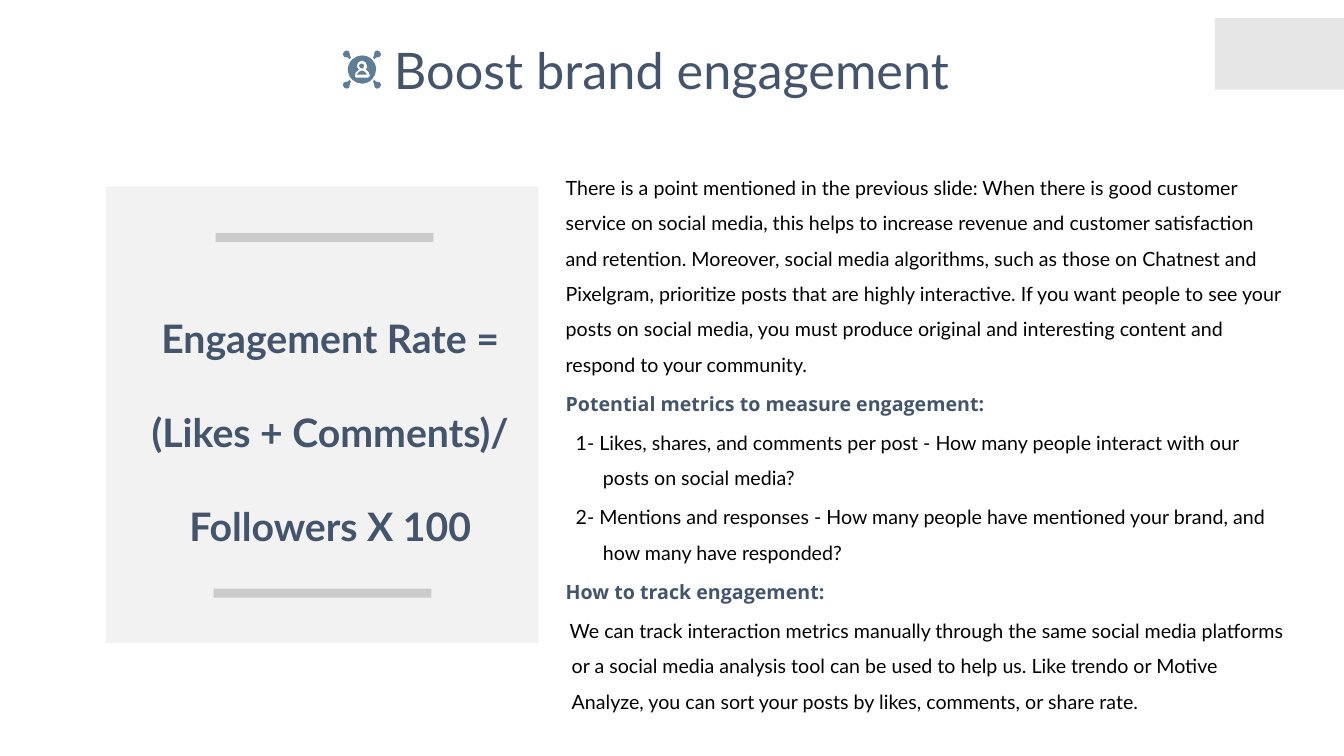
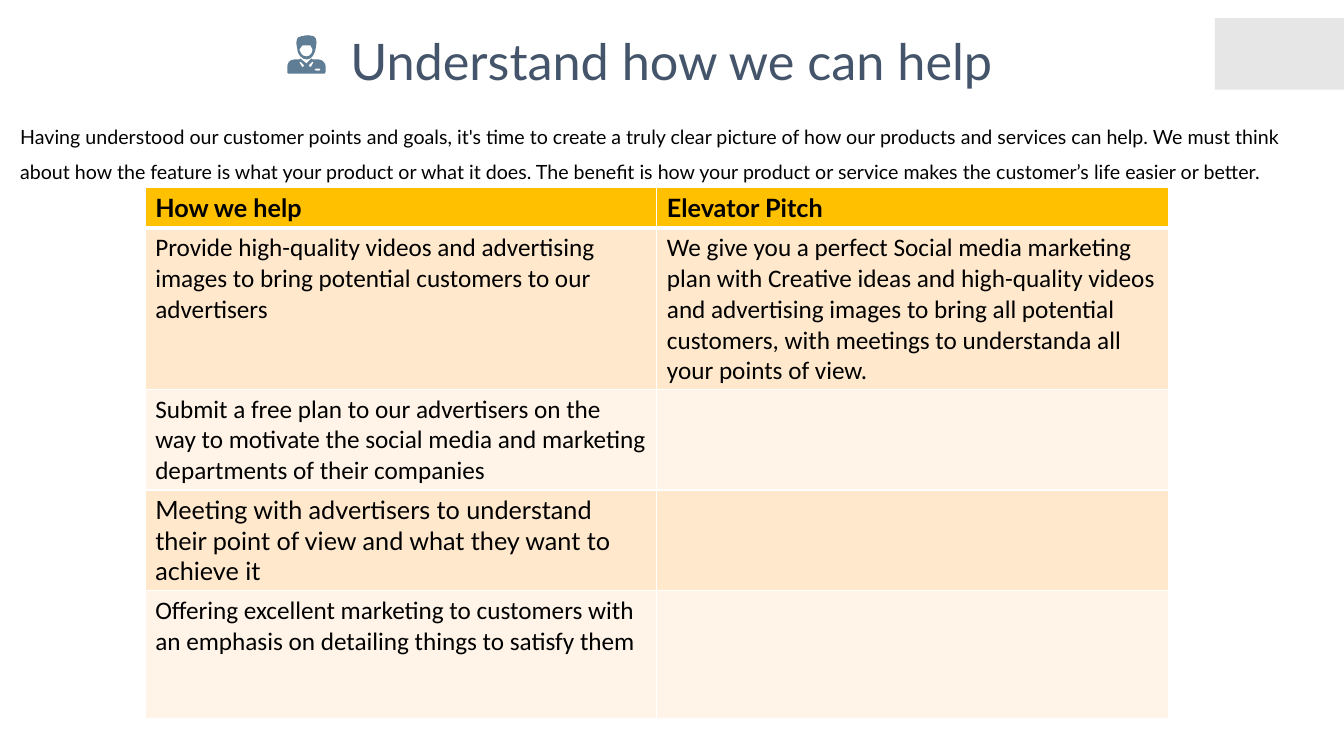
from lxml import etree
from pptx import Presentation
from pptx.dml.color import RGBColor
from pptx.enum.shapes import MSO_SHAPE
from pptx.enum.text import PP_ALIGN
from pptx.oxml.ns import qn
from pptx.util import Inches, Pt

RECT = MSO_SHAPE.RECTANGLE
CENTER = PP_ALIGN.CENTER

BLACK = RGBColor(0x00, 0x00, 0x00)
WHITE = RGBColor(0xFF, 0xFF, 0xFF)
NAVY = RGBColor(0x44, 0x54, 0x6A)
STEEL = RGBColor(0x5F, 0x7D, 0x95)
TAB_GRAY = RGBColor(0xE7, 0xE6, 0xE6)
CARD_GRAY = RGBColor(0xF2, 0xF2, 0xF2)
BAR_GRAY = RGBColor(0xA5, 0xA5, 0xA5)
AMBER = RGBColor(0xFF, 0xC0, 0x00)
PEACH = RGBColor(0xFF, 0xE8, 0xCC)
CREAM = RGBColor(0xFF, 0xF4, 0xE7)

LATO, OPEN_SANS, CALIBRI = "Lato", "Open Sans", "Calibri"
WIDE = (0.12, 0.06)
TIGHT = (0.05, 0.02)
NORMAL = (0.1, 0.05)

# Paragraph kinds: font, colour, bold, left margin, first-line indent
BODY = (LATO, BLACK, False, 0, 0)
HEADING = (OPEN_SANS, NAVY, True, 0, 0)
ITEM = (LATO, BLACK, False, 0.37, -0.27)
INSET = (LATO, BLACK, False, 0.06, -0.02)

# Slide content
ENGAGEMENT = [
    ("There is a point mentioned in the previous slide: When there is good customer service on "
     "social media, this helps to increase revenue and customer satisfaction and retention. "
     "Moreover, social media algorithms, such as those on Chatnest and Pixelgram, prioritize "
     "posts that are highly interactive. If you want people to see your posts on social media, "
     "you must produce original and interesting content and respond to your community.", BODY),
    ("Potential metrics to measure engagement:", HEADING),
    ("1- Likes, shares, and comments per post - How many people interact with our posts on "
     "social media?", ITEM),
    ("2- Mentions and responses - How many people have mentioned your brand, and how many have "
     "responded?", ITEM),
    ("How to track engagement:", HEADING),
    ("We can track interaction metrics manually through the same social media platforms or a "
     "social media analysis tool can be used to help us. Like trendo or Motive Analyze, you can "
     "sort your posts by likes, comments, or share rate.", INSET),
]
FORMULA = "Engagement Rate = (Likes + Comments)/ Followers X 100"
HELP_INTRO = [
    ("Having understood our customer points and goals, it's time to create a truly clear picture "
     "of how our products and services can help. We must think about how the feature is what your "
     "product or what it does. The benefit is how your product or service makes the customer’s "
     "life easier or better.", BODY),
]
# Table rows: height, font, cells
HELP_ROWS = [
    (0.39, LATO, ("How we help", "Elevator Pitch")),
    (1.55, CALIBRI, (
        "Provide high-quality videos and advertising images to bring potential customers to our "
        "advertisers",
        "We give you a perfect Social media marketing plan with Creative ideas and high-quality "
        "videos and advertising images to bring all potential customers, with meetings to "
        "understanda all your points of view.")),
    (0.97, CALIBRI, (
        "Submit a free plan to our advertisers on the way to motivate the social media and "
        "marketing departments of their companies", "")),
    (0.97, LATO, (
        "Meeting with advertisers to understand their point of view and what they want to "
        "achieve it", "")),
    (1.27, CALIBRI, (
        "Offering excellent marketing to customers with an emphasis on detailing things to "
        "satisfy them", "")),
]

# Icon outlines in inches: M move, L line, C curve
HUB_CENTER = (3.59, 0.69)
HUB_NODE = ("M3.44,.5 C3.42,.5,3.4,.52,3.4,.54 C3.4,.56,3.42,.57,3.44,.57 "
            "C3.44,.57,3.45,.57,3.45,.57 L3.47,.59 C3.47,.58,3.48,.57,3.48,.57 L3.47,.55 "
            "C3.47,.55,3.47,.54,3.47,.54 C3.47,.52,3.46,.5,3.44,.5")
HUB_PARTS = [
    "M3.59,.7 C3.57,.7,3.55,.72,3.54,.74 L3.64,.74 C3.63,.72,3.61,.7,3.59,.7",
    "M3.59,.63 C3.58,.63,3.56,.64,3.56,.65 C3.56,.67,3.58,.68,3.59,.68 "
    "C3.6,.68,3.61,.67,3.61,.65 C3.61,.64,3.6,.63,3.59,.63",
    "M3.59,.6 C3.62,.6,3.64,.63,3.64,.65 C3.64,.67,3.64,.68,3.63,.69 "
    "C3.65,.7,3.67,.73,3.67,.75 C3.66,.76,3.66,.77,3.65,.77 L3.53,.77 "
    "C3.52,.77,3.52,.76,3.52,.75 C3.52,.73,3.53,.7,3.56,.69 C3.55,.68,3.54,.67,3.54,.65 "
    "C3.54,.63,3.56,.6,3.59,.6 "
    "M3.59,.55 C3.52,.55,3.45,.61,3.45,.69 C3.45,.77,3.52,.83,3.59,.83 "
    "C3.67,.83,3.73,.76,3.73,.69 C3.73,.61,3.67,.55,3.59,.55",
]
PERSON_PARTS = [
    "M3.07,.45 C3.07,.45,3.07,.45,3.08,.45 L3.1,.49 C3.1,.52,3.08,.56,3.04,.56 "
    "C3,.56,2.98,.53,2.97,.49 L3,.45 C3,.45,3,.45,3.01,.45 "
    "M3.06,.35 C3.04,.35,3.02,.35,3,.36 C2.99,.36,2.99,.36,2.99,.36 "
    "C2.98,.36,2.97,.36,2.96,.37 C2.95,.38,2.94,.39,2.94,.42 C2.94,.43,2.94,.46,2.95,.49 "
    "C2.95,.49,2.95,.53,2.98,.56 C3,.58,3.02,.59,3.04,.59 C3.09,.59,3.12,.54,3.13,.49 "
    "C3.13,.47,3.14,.44,3.14,.42 C3.14,.39,3.13,.37,3.11,.36 C3.09,.35,3.08,.35,3.06,.35",
    "M2.98,.61 L3.02,.65 L3,.67 L2.97,.62 C2.97,.62,2.98,.62,2.98,.61 "
    "M3.1,.61 C3.1,.62,3.11,.62,3.11,.62 L3.08,.67 L3.06,.65 L3.1,.61 "
    "M3.17,.68 C3.17,.68,3.18,.68,3.18,.69 C3.18,.7,3.17,.7,3.17,.7 L3.14,.7 "
    "C3.13,.7,3.12,.7,3.12,.69 C3.12,.68,3.13,.68,3.14,.68 "
    "M2.98,.58 C2.98,.58,2.97,.58,2.97,.59 C2.97,.59,2.97,.59,2.96,.59 L2.92,.59 "
    "C2.87,.59,2.85,.63,2.85,.66 L2.85,.71 C2.85,.72,2.85,.73,2.86,.73 L3.22,.73 "
    "C3.22,.73,3.23,.72,3.23,.71 L3.23,.66 C3.23,.63,3.2,.59,3.16,.59 L3.12,.59 "
    "C3.11,.59,3.11,.59,3.1,.59 C3.1,.59,3.1,.58,3.09,.58 C3.09,.58,3.09,.59,3.08,.59 "
    "L3.04,.63 L2.99,.59 C2.99,.58,2.98,.58,2.98,.58",
]


def paint(shape, color):
    shape.shadow.inherit = False
    shape.fill.solid()
    shape.fill.fore_color.rgb = color
    shape.line.fill.background()


def add_rect(shapes, box, color, alpha=None):
    shape = shapes.add_shape(RECT, *map(Inches, box))
    paint(shape, color)
    if alpha:
        clr = shape._element.spPr.find(".//" + qn("a:srgbClr"))
        etree.SubElement(clr, qn("a:alpha"), val=str(alpha * 1000))


def style(p, font, size, color, bold=False):
    for r in p.runs:
        r.font.name, r.font.size, r.font.bold = font, Pt(size), bold
        r.font.color.rgb = color


def add_text_frame(shapes, box, margins, wrap=True):
    tf = shapes.add_textbox(*map(Inches, box)).text_frame
    tf.word_wrap = wrap
    tf.margin_left = tf.margin_right = Inches(margins[0])
    tf.margin_top = tf.margin_bottom = Inches(margins[1])
    return tf


def add_centered(shapes, box, text, size, margins, bold=False, wrap=True, spacing=1.0):
    tf = add_text_frame(shapes, box, margins, wrap)
    tf.text = text
    p = tf.paragraphs[0]
    p.alignment, p.line_spacing = CENTER, spacing
    style(p, LATO, size, NAVY, bold)


def add_body(s, box, paragraphs):
    tf = add_text_frame(s.shapes, box, WIDE)
    for i, (text, (font, color, bold, margin, indent)) in enumerate(paragraphs):
        p = tf.add_paragraph() if i else tf.paragraphs[0]
        p.text = text
        p.line_spacing = 1.5
        if i:
            p.space_before = Pt(2.8)
        pPr = p._p.get_or_add_pPr()
        pPr.set("marL", str(Inches(margin)))
        pPr.set("indent", str(Inches(indent)))
        style(p, font, 14, color, bold)


def add_outline(shapes, outline, center=(0, 0), flip=(1, 1)):
    # Each segment: its letter and its points in EMU
    segments = []
    for part in outline.split():
        n = [float(v) for v in part[1:].split(",")]
        segments.append((part[0], [tuple(Inches(c + f * (v - c))
                                         for v, c, f in zip(pt, center, flip))
                                   for pt in zip(n[::2], n[1::2])]))

    # Draw straight segments between the end points
    builder = shapes.build_freeform(*segments[0][1][0], scale=1.0)
    for i, (letter, pts) in enumerate(segments):
        if letter == "M" and i:
            builder.move_to(*pts[0])
        elif letter != "M":
            ends_here = i + 1 == len(segments) or segments[i + 1][0] == "M"
            builder.add_line_segments(pts[-1:], close=ends_here)
    shape = builder.convert_to_shape()
    paint(shape, STEEL)

    # Bend the curved ones with their control points
    drawn = [e for e in shape._element.spPr.find(".//" + qn("a:path"))
             if e.tag != qn("a:close")]
    for element, (letter, pts) in zip(drawn, segments):
        if letter == "C":
            curve = etree.Element(qn("a:cubicBezTo"))
            for x, y in pts:
                etree.SubElement(curve, qn("a:pt"), x=str(x - shape.left), y=str(y - shape.top))
            element.getparent().replace(element, curve)


def set_borders(cell, header):
    tcPr = cell._tc.get_or_add_tcPr()
    for i, side in enumerate(("lnL", "lnR", "lnT", "lnB")):
        width = Pt(3 if header and side == "lnB" else 1)
        ln = etree.Element(qn("a:" + side), w=str(width))
        fill = etree.SubElement(ln, qn("a:solidFill"))
        etree.SubElement(fill, qn("a:srgbClr"), val=str(WHITE))
        tcPr.insert(i, ln)


def add_help_table(s, left, top, width):
    height = sum(row[0] for row in HELP_ROWS)
    table = s.shapes.add_table(len(HELP_ROWS), 2, *map(Inches, (left, top, width, height))).table
    for i, (row_height, font, texts) in enumerate(HELP_ROWS):
        table.rows[i].height = Inches(row_height)
        for j, text in enumerate(texts):
            cell = table.cell(i, j)
            cell.text = text
            style(cell.text_frame.paragraphs[0], font, 18, BLACK, i == 0)
            cell.fill.solid()
            cell.fill.fore_color.rgb = AMBER if i == 0 else PEACH if i % 2 else CREAM
            set_borders(cell, i == 0)


def new_slide(prs, title, title_box):
    s = prs.slides.add_slide(prs.slide_layouts[6])
    add_rect(s.shapes, (12.05, 0.18, 1.28, 0.71), TAB_GRAY)
    add_centered(s.shapes, title_box, title, 36, TIGHT, wrap=False)
    return s


def main():
    prs = Presentation()
    prs.slide_width, prs.slide_height = Inches(13.33), Inches(7.5)

    # Brand engagement
    s = new_slide(prs, "Boost brand engagement", (3.74, 0.37, 5.84, 0.66))
    add_body(s, (5.49, 1.57, 7.38, 5.61), ENGAGEMENT)
    card = s.shapes.add_group_shape().shapes
    add_rect(card, (1.05, 1.85, 4.29, 4.53), CARD_GRAY)
    add_centered(card, (1.36, 2.6, 3.83, 2.78), FORMULA, 28, NORMAL, bold=True, spacing=2.0)
    for left, top in ((2.14, 2.31), (2.12, 5.84)):
        add_rect(s.shapes, (left, top, 2.16, 0.09), BAR_GRAY, alpha=50)
    hub = s.shapes.add_group_shape().shapes
    for flip in ((1, 1), (-1, 1), (1, -1), (-1, -1)):
        add_outline(hub, HUB_NODE, HUB_CENTER, flip)
    for outline in HUB_PARTS:
        add_outline(hub, outline)

    # How we can help
    s = new_slide(prs, "Understand how we can help", (3.31, 0.28, 6.7, 0.66))
    add_body(s, (0.08, 1.06, 13.17, 0.78), HELP_INTRO)
    person = s.shapes.add_group_shape().shapes
    for outline in PERSON_PARTS:
        add_outline(person, outline)
    add_help_table(s, 1.44, 1.86, 10.15)

    prs.save("out.pptx")


if __name__ == "__main__":
    main()
